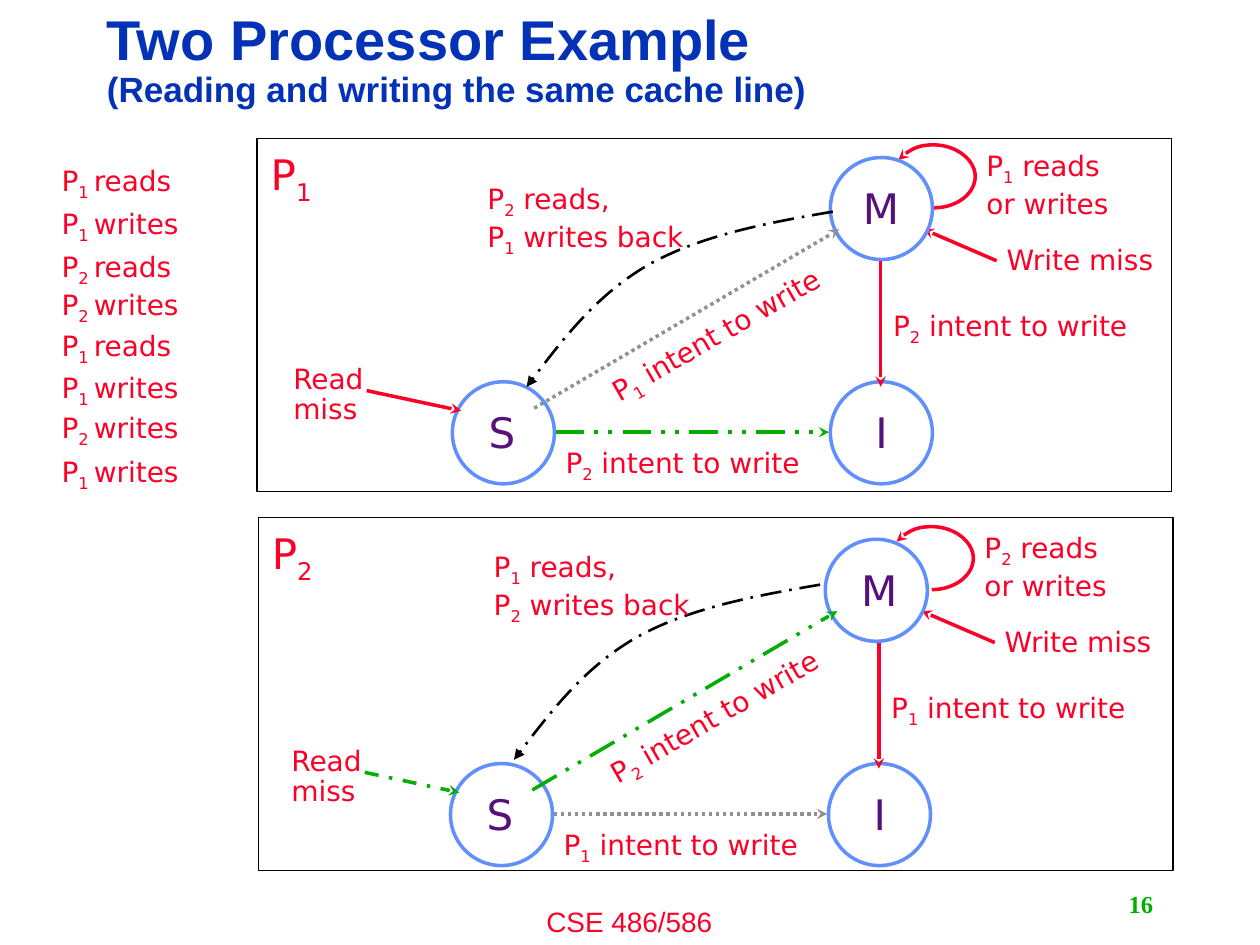
from lxml.etree import SubElement
from pptx import Presentation
from pptx.dml.color import RGBColor
from pptx.enum.dml import MSO_LINE
from pptx.enum.shapes import MSO_CONNECTOR, MSO_SHAPE
from pptx.enum.text import MSO_ANCHOR, PP_ALIGN
from pptx.oxml.ns import qn
from pptx.util import Inches, Pt

color = RGBColor.from_string
RED, GREEN, GREY, BLACK = "FC0128", "00AE00", "919191", "000000"
TITLE_BLUE, RING_BLUE, PURPLE = "0332B7", "618FFD", "56127A"

deck = Presentation()
deck.slide_width, deck.slide_height = Inches(10), Inches(7.5)
CELL = deck.slide_width / 100  # grid of 100 columns and 75 rows
slide = deck.slides.add_slide(deck.slide_layouts[6])
shapes = slide.shapes


def add_label(left, top, width, height, lines, size=16, ink=RED,
              font="DejaVu Sans", bold=False, spacing=None, wrap=False):
    """Write lines in a text box; text between underscores is subscript."""
    box = shapes.add_textbox(*(round(n * CELL) for n in (left, top, width, height)))
    frame = box.text_frame
    frame.word_wrap = wrap
    frame.text = "\n".join("" for _ in lines)
    for paragraph, line in zip(frame.paragraphs, lines):
        paragraph.line_spacing = spacing
        for index, piece in enumerate(line.split("_")):
            run = paragraph.add_run()
            run.text = piece
            run.font.size, run.font.name, run.font.bold = Pt(size), font, bold
            run.font.color.rgb = color(ink)
            if index % 2:
                run.font._element.set("baseline", "-25000")
    return box


def add_arrow(points, ink=RED, dash=None, width=2, head="stealth"):
    """Draw a straight arrow through two points, or a Bézier arrow through more."""
    spots = [(round(x * CELL), round(y * CELL)) for x, y in points]
    if len(spots) == 2:
        arrow = shapes.add_connector(MSO_CONNECTOR.STRAIGHT, *spots[0], *spots[1])
        SubElement(arrow.element.spPr, qn("a:effectLst"))
    else:
        builder = shapes.build_freeform(*spots[0])
        builder.add_line_segments(spots[1:], close=False)
        arrow = builder.convert_to_shape()
        arrow.shadow.inherit = False
        arrow.fill.background()
        outline = next(arrow.element.iter(qn("a:path")))
        corners = outline.findall(qn("a:lnTo"))
        for start in range(0, len(corners), 3):
            curve = SubElement(outline, qn("a:cubicBezTo"))
            for corner in corners[start:start + 3]:
                curve.append(corner[0])
                outline.remove(corner)
    arrow.line.color.rgb = color(ink)
    arrow.line.width = Pt(width)
    if dash:
        arrow.line.dash_style = dash
    SubElement(arrow.element.spPr.find(qn("a:ln")), qn("a:tailEnd"), type=head)


# Title, footer and page number
title = add_label(7.5, 0.8, 79.8, 8.1, [""], spacing=0.9, wrap=True)
title.text_frame.vertical_anchor = MSO_ANCHOR.MIDDLE
heading = title.text_frame.paragraphs[0]
heading.text = "Two Processor Example\v(Reading and writing the same cache line)"
for run, size in zip(heading.runs, (32, 20)):
    run.font.size, run.font.name, run.font.bold = Pt(size), "Arial", True
    run.font.color.rgb = color(TITLE_BLUE)

course = add_label(33.3, 71.3, 33.3, 3.7, ["CSE 486/586"], font="Arial", wrap=True)
course.text_frame.paragraphs[0].alignment = PP_ALIGN.CENTER
page_number = add_label(71.7, 70.1, 20.8, 3.2, ["16"], 14, GREEN, "Times New Roman", True)
page_number.text_frame.paragraphs[0].alignment = PP_ALIGN.RIGHT
page_number.text_frame.vertical_anchor = MSO_ANCHOR.MIDDLE

# Sequence of accesses
accesses = [(12.5, 1, "reads"), (15.9, 1, "writes"), (19.3, 2, "reads"), (22.3, 2, "writes"),
            (25.6, 1, "reads"), (28.9, 1, "writes"), (32.1, 2, "writes"), (35.6, 1, "writes")]
for top, processor, action in accesses:
    add_label(3.9, top, 14.8, 3.7, [f"P_{processor} _{action}"], wrap=True)

# One state diagram per processor; places inside it count from its origin
RING = 8.1
SELF_LOOP = [(53.7, 5.5), (55.5, 5.5), (57, 4.4), (57, 3), (57, 1.7),
             (55.5, 0.5), (53.7, 0.5), (52.6, 0.5), (51.5, 1), (50.9, 1.7)]
WRITE_BACK = [(0, 0), (-5.3, 0.9), (-10.5, 1.9), (-14.6, 4.2),
              (-18.6, 6.5), (-21.5, 10.2), (-24.3, 13.9)]
taken = (GREEN, MSO_LINE.DASH_DOT_DOT)
faded = (GREY, MSO_LINE.ROUND_DOT)
diagrams = [
    dict(own=1, other=2, frame=(20.4, 11), origin=(20.4, 11), modified_left=45.5,
         back_label=(17.3, 2.9), back_start=(45.7, 5.8),
         upgrade=faded, invalidate=taken, read_miss=(RED, None)),
    dict(own=2, other=1, frame=(20.5, 41.1), origin=(20.25, 41.3), modified_left=45.25,
         back_label=(17.95, 1.8), back_start=(44.85, 5.1),
         upgrade=taken, invalidate=faded, read_miss=(GREEN, MSO_LINE.DASH_DOT)),
]
for diagram in diagrams:
    x, y = diagram["origin"]
    own, other = f"P_{diagram['own']}_", f"P_{diagram['other']}_"
    frame_x, frame_y = diagram["frame"]
    border = shapes.add_shape(MSO_SHAPE.RECTANGLE, *(round(n * CELL) for n in (frame_x, frame_y, 72.6, 28)))
    border.shadow.inherit = False
    border.fill.background()
    border.line.color.rgb = color(BLACK)
    border.line.width = Pt(0.75)
    add_label(frame_x + 0.1, frame_y + 0.3, 6.7, 5, [own], 24, wrap=True)

    add_arrow([(x + dx, y + dy) for dx, dy in SELF_LOOP])
    add_arrow([(x + 58.7, y + 9.7), (x + 52.9, y + 7.2)])

    states = [("M", diagram["modified_left"], 1.5, 47.1, 4.8),
              ("S", 15.5, 19.3, 17.4, 4.3), ("I", 45.5, 19.3, 48.1, 3.4)]
    for letter, left, top, letter_left, letter_width in states:
        ring = shapes.add_shape(MSO_SHAPE.OVAL, *(round(n * CELL) for n in (x + left, y + top, RING, RING)))
        ring.shadow.inherit = False
        ring.fill.solid()
        ring.fill.fore_color.rgb = color("FFFFFF")
        ring.line.color.rgb = color(RING_BLUE)
        ring.line.width = Pt(2)
        add_label(x + letter_left, y + top + 1.5, letter_width, 5, [letter], 24, PURPLE)

    transitions = [((23.7, 23.3), (45.4, 23.3), diagram["invalidate"]),
                   ((49.5, 9.7), (49.5, 19.7), (RED, None)),
                   ((22, 21.4), (46.2, 7.2), diagram["upgrade"]),
                   ((8.7, 20), (16.2, 21.6), diagram["read_miss"])]
    for (x1, y1), (x2, y2), style in transitions:
        add_arrow([(x + x1, y + y1), (x + x2, y + y2)], *style)
    back_x, back_y = diagram["back_start"]
    add_arrow([(x + back_x + dx, y + back_y + dy) for dx, dy in WRITE_BACK],
              BLACK, MSO_LINE.LONG_DASH_DOT, 1.5, "triangle")

    intents = [(own, 26.1, 13.6, 330), (other, 23.5, 23.9, 0), (other, 49.5, 13, 0)]
    for processor, left, top, angle in intents:
        intent = add_label(x + left, y + top, 21, 3.7, [f"{processor} intent to write"])
        intent.rotation = angle
    label_x, label_y = diagram["back_label"]
    add_label(x + label_x, y + label_y, 17.8, 6.4, [f"{other} reads,", f"{own} writes back"])
    add_label(x + 56.9, y + 0.3, 11.8, 6.4, [f"{own} reads", "or writes"])
    add_label(x + 58.5, y + 7.8, 13.8, 3.7, ["Write miss"])
    add_label(x + 1.9, y + 17.5, 7.7, 5.8, ["Read", "miss"], spacing=0.9)

deck.save("out.pptx")
